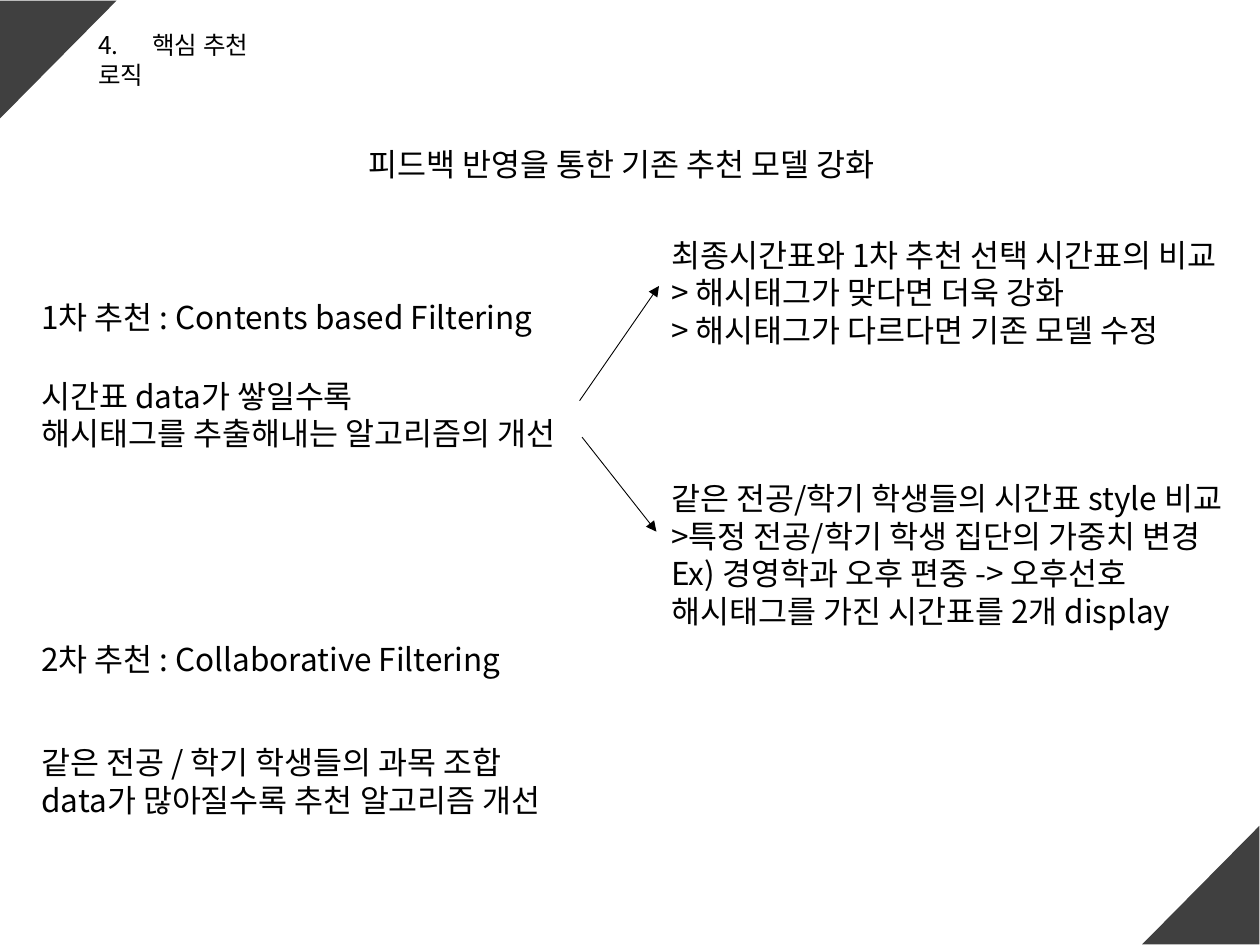
from dataclasses import dataclass
from lxml.etree import SubElement
from pptx import Presentation
from pptx.dml.color import RGBColor
from pptx.enum.shapes import MSO_CONNECTOR, MSO_SHAPE
from pptx.enum.text import MSO_ANCHOR, MSO_AUTO_SIZE, PP_ALIGN
from pptx.oxml.ns import qn
from pptx.util import Inches, Pt


@dataclass(frozen=True)
class Theme:
    font: str = "Noto Sans CJK KR"
    ink: RGBColor = RGBColor(0, 0, 0)
    dark: RGBColor = RGBColor(0x40, 0x40, 0x40)
    head: Pt = Pt(14)
    body: Pt = Pt(18)
    line: Pt = Pt(0.5)


THEME = Theme()


def write(frame, lines, size):
    """Fill a text frame with one paragraph per line."""
    frame.word_wrap = True
    frame.auto_size = MSO_AUTO_SIZE.NONE
    frame.vertical_anchor = MSO_ANCHOR.TOP
    frame.text = "\n".join(lines)
    for para in frame.paragraphs:
        para.alignment = PP_ALIGN.LEFT
        font = para.font
        font.name, font.size = THEME.font, size
        font.color.rgb = THEME.ink
        # Korean glyphs use the East Asian font slot
        base = para._p.pPr.find(qn("a:defRPr"))
        SubElement(base, qn("a:ea"), typeface=THEME.font)


def add_text(slide, x, y, w, h, *lines):
    box = slide.shapes.add_textbox(Inches(x), Inches(y), Inches(w), Inches(h))
    write(box.text_frame, lines, THEME.body)


def add_title(slide, x, y, w, h):
    title = slide.shapes.title
    title.left, title.top = Inches(x), Inches(y)
    title.width, title.height = Inches(w), Inches(h)
    write(title.text_frame, ["4.\t핵심 추천 로직"], THEME.head)
    # Tab stop between number and heading
    props = title.text_frame.paragraphs[0]._p.pPr
    tabs = SubElement(props, qn("a:tabLst"))
    SubElement(tabs, qn("a:tab"), pos=str(Inches(0.43)), algn="l")
    props.insert(0, tabs)


def add_corner(slide, x, y, w, h, turn):
    shape = slide.shapes.add_shape(
        MSO_SHAPE.RIGHT_TRIANGLE, Inches(x), Inches(y), Inches(w), Inches(h))
    shape.rotation = turn
    shape.shadow.inherit = False
    shape.fill.solid()
    shape.fill.fore_color.rgb = THEME.dark
    shape.line.fill.background()


def add_arrow(slide, x1, y1, x2, y2):
    arrow = slide.shapes.add_connector(
        MSO_CONNECTOR.STRAIGHT, Inches(x1), Inches(y1), Inches(x2), Inches(y2))
    arrow.line.color.rgb = THEME.ink
    arrow.line.width = THEME.line
    SubElement(arrow.line._get_or_add_ln(), qn("a:tailEnd"), type="triangle")
    SubElement(arrow._element.spPr, qn("a:effectLst"))


def add_stages(slide, x, y, w):
    """Left column: the two recommendation stages."""
    add_text(slide, x, y, w, 0.4, "1차 추천 : Contents based Filtering")
    add_text(slide, x, y + 0.62, w + 0.6, 0.71,
             "시간표 data가 쌓일수록", "해시태그를 추출해내는 알고리즘의 개선")
    add_text(slide, x, y + 2.71, w, 0.4, "2차 추천 : Collaborative Filtering")
    add_text(slide, x, y + 3.53, w, 0.71,
             "같은 전공 / 학기 학생들의 과목 조합 data가 많아질수록 추천 알고리즘 개선")


def add_feedback(slide, x, y, w):
    """Right column: how feedback changes the model."""
    add_text(slide, x, y, w, 1.01,
             "최종시간표와 1차 추천 선택 시간표의 비교",
             "> 해시태그가 맞다면 더욱 강화",
             "> 해시태그가 다르다면 기존 모델 수정")
    add_text(slide, x, y + 1.93, w, 1.31,
             "같은 전공/학기 학생들의 시간표 style 비교",
             ">특정 전공/학기 학생 집단의 가중치 변경",
             "Ex) 경영학과 오후 편중 -> 오후선호 해시태그를 가진 시간표를 2개 display")


def main():
    deck = Presentation()
    deck.slide_width, deck.slide_height = Inches(10), Inches(7.5)
    slide = deck.slides.add_slide(deck.slide_layouts[5])

    # Corners and headings
    add_corner(slide, -0.01, 0.01, 0.94, 0.93, 90)
    add_corner(slide, 9.06, 6.56, 0.94, 0.93, 270)
    add_title(slide, 0.68, 0.19, 1.76, 0.34)
    add_text(slide, 2.83, 1.1, 4.34, 0.4, "피드백 반영을 통한 기존 추천 모델 강화")

    # Columns joined by arrows
    add_stages(slide, 0.23, 2.32, 4.18)
    add_feedback(slide, 5.23, 1.82, 5)
    add_arrow(slide, 4.6, 3.18, 5.23, 2.27)
    add_arrow(slide, 4.62, 3.47, 5.21, 4.22)

    deck.save("out.pptx")


if __name__ == "__main__":
    main()
